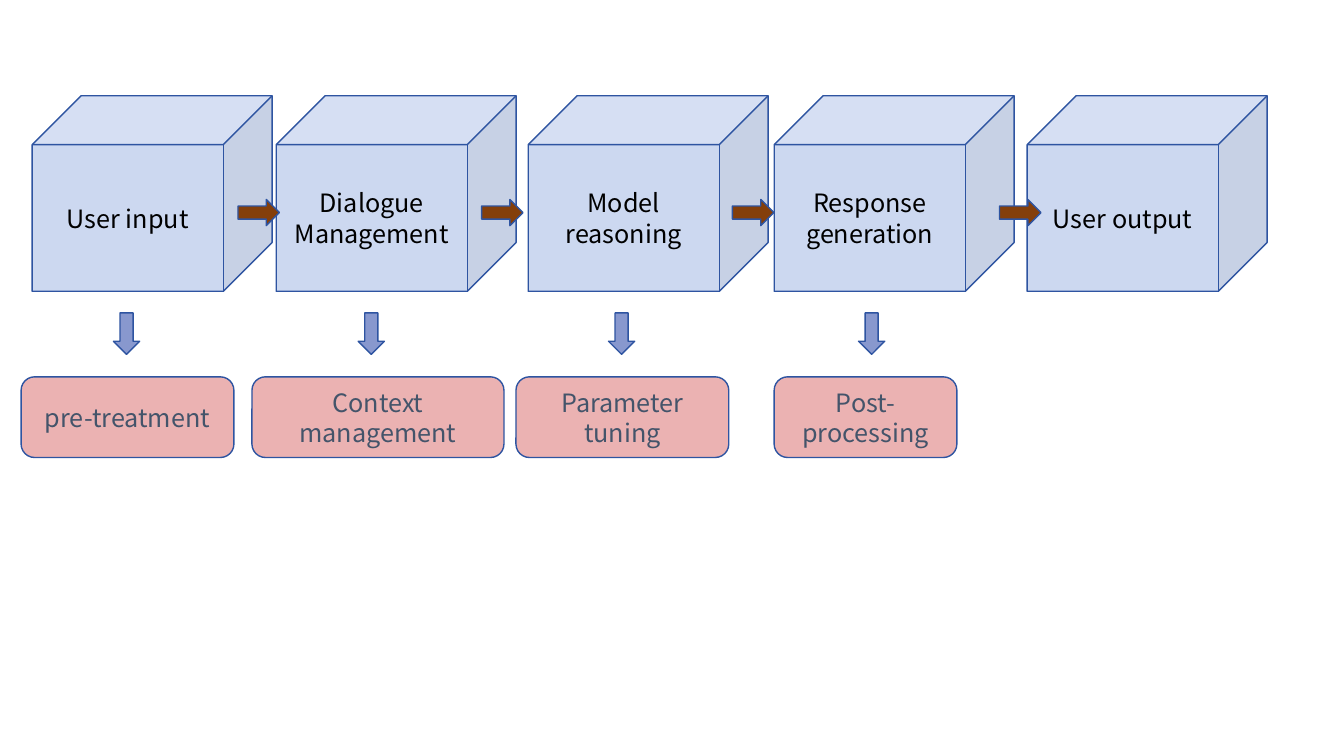
from lxml.etree import SubElement
from pptx import Presentation
from pptx.dml.color import RGBColor
from pptx.enum.shapes import MSO_SHAPE
from pptx.enum.text import MSO_ANCHOR, PP_ALIGN
from pptx.oxml.ns import qn
from pptx.util import Pt

FONT = "Noto Sans CJK SC"
OUTLINE = "2E54A1"


def color(hex_string):
    return RGBColor.from_string(hex_string)


def add_block(kind, left, top, width, height, fill, opacity=100, text="", text_color="000000"):
    shape = slide.shapes.add_shape(kind, Pt(left), Pt(top), Pt(width), Pt(height))
    shape.shadow.inherit = False
    shape.fill.solid()
    shape.fill.fore_color.rgb = color(fill)
    if opacity < 100:
        fill_color = shape.fill._xPr.find(qn("a:solidFill"))[0]
        SubElement(fill_color, qn("a:alpha"), val=str(opacity * 1000))
    shape.line.color.rgb = color(OUTLINE)
    shape.line.width = Pt(1)
    if text:
        text_frame = shape.text_frame
        text_frame.text = text
        text_frame.word_wrap = True
        text_frame.vertical_anchor = MSO_ANCHOR.MIDDLE
        paragraph = text_frame.paragraphs[0]
        paragraph.alignment = PP_ALIGN.CENTER
        font = paragraph.runs[0].font
        font.name = FONT
        font.size = Pt(18)
        font.color.rgb = color(text_color)
    return shape


presentation = Presentation()
presentation.slide_width = Pt(960)
presentation.slide_height = Pt(540)
slide = presentation.slides.add_slide(presentation.slide_layouts[6])

# Main stages: label, left
stages = [
    ("User input", 23),
    ("User output", 733.7),
    ("Response generation", 553),
    ("Dialogue Management", 197.3),
    ("Model reasoning", 377.3),
]
for label, left in stages:
    add_block(MSO_SHAPE.CUBE, left, 68.4, 171.4, 139.7, "4874CB", 28, label)

# Supporting steps: label, left, width
steps = [
    ("pre-treatment", 15.1, 152),
    ("Context management", 180, 180),
    ("Parameter tuning", 368.6, 152),
    ("Post-processing", 553, 130.5),
]
for label, left, width in steps:
    add_block(MSO_SHAPE.ROUNDED_RECTANGLE, left, 269.2, width, 57.6, "C00000", 30, label, "44546A")

# Arrows from each stage down to its step
for left in (75.6, 250.4, 429.2, 607.8):
    arrow = add_block(MSO_SHAPE.RIGHT_ARROW, left, 229, 29.6, 18.7, "6F82C4", 82)
    arrow.rotation = 90

# Arrows from stage to stage
for left in (170, 344, 523.2, 714):
    add_block(MSO_SHAPE.RIGHT_ARROW, left, 142.5, 29.6, 18.7, "843F0B")

presentation.save("out.pptx")
